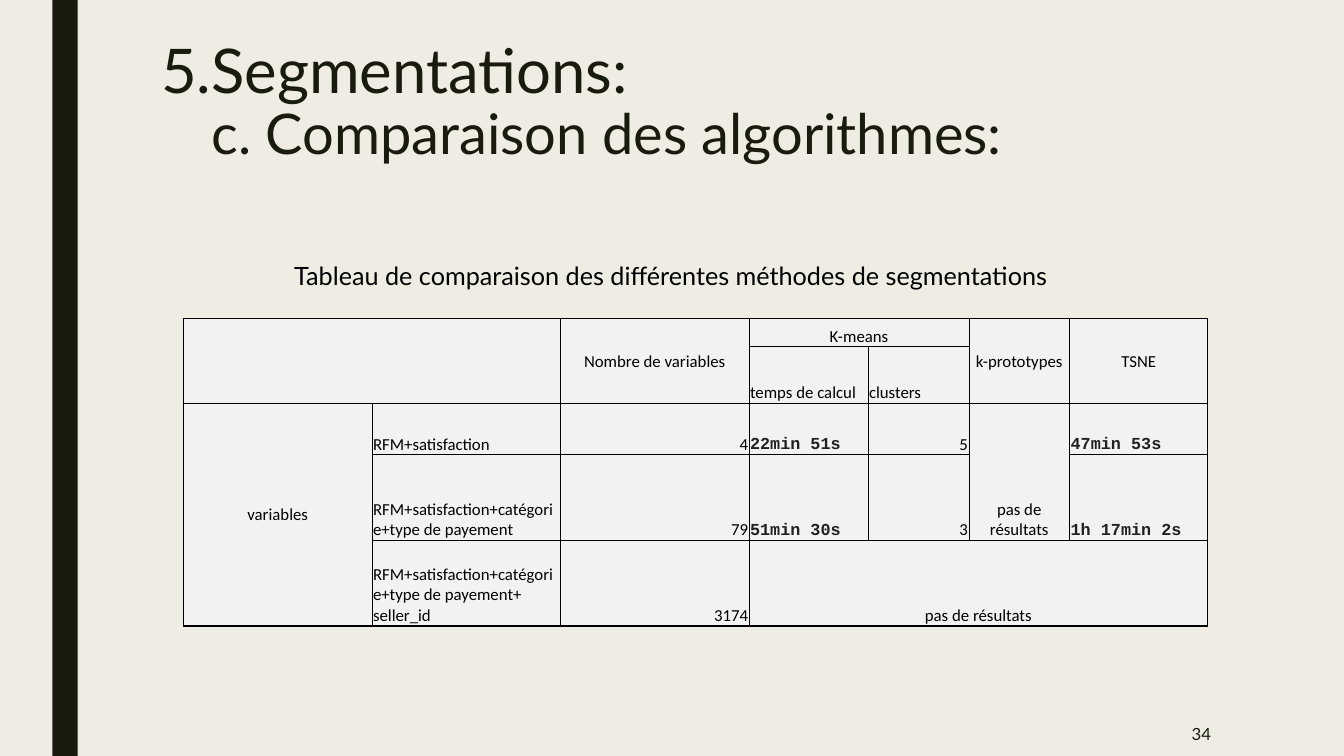
from lxml import etree
from pptx import Presentation
from pptx.dml.color import RGBColor
from pptx.enum.shapes import MSO_SHAPE
from pptx.enum.text import MSO_ANCHOR, PP_ALIGN
from pptx.oxml.ns import qn
from pptx.util import Inches, Pt

LEFT, CENTER, RIGHT = PP_ALIGN.LEFT, PP_ALIGN.CENTER, PP_ALIGN.RIGHT
TOP, MIDDLE, BOTTOM = MSO_ANCHOR.TOP, MSO_ANCHOR.MIDDLE, MSO_ANCHOR.BOTTOM
RECTANGLE = MSO_SHAPE.RECTANGLE

CREAM = RGBColor(0xEF, 0xED, 0xE3)
DARK = RGBColor(0x19, 0x1B, 0x0E)
BLACK = RGBColor(0, 0, 0)
CHARCOAL = RGBColor(0x21, 0x21, 0x21)
CELL_GRAY = RGBColor(0xF2, 0xF2, 0xF2)

NO_GRID_STYLE = "{2D5ABB26-0587-4C30-8999-92F81FD0307C}"
COLUMN_WIDTHS = [1.87, 1.87, 1.87, 1.18, 1, 1, 1.37]
ROW_HEIGHTS = [0.28, 0.56, 0.51, 0.85, 0.85]

HEADER = {"align": CENTER, "anchor": MIDDLE}
LABEL = {"align": LEFT, "anchor": BOTTOM}
NUMBER = {"align": RIGHT, "anchor": BOTTOM}
CENTERED = {"align": CENTER, "anchor": BOTTOM}
DURATION = {**LABEL, "font": "Courier New", "color": CHARCOAL, "bold": True}

# row, column, row span, column span, text, format
CELLS = [
    (0, 2, 2, 1, "Nombre de variables", HEADER),
    (0, 3, 1, 2, "K-means", CENTERED),
    (0, 5, 2, 1, "k-prototypes", HEADER),
    (0, 6, 2, 1, "TSNE", HEADER),
    (1, 3, 1, 1, "temps de calcul", LABEL),
    (1, 4, 1, 1, "clusters", LABEL),
    (2, 0, 3, 1, "variables", HEADER),
    (2, 1, 1, 1, "RFM+satisfaction", LABEL),
    (2, 2, 1, 1, "4", NUMBER),
    (2, 3, 1, 1, "22min 51s", DURATION),
    (2, 4, 1, 1, "5", NUMBER),
    (2, 5, 2, 1, "pas de résultats", CENTERED),
    (2, 6, 1, 1, "47min 53s", DURATION),
    (3, 1, 1, 1, "RFM+satisfaction+catégorie+type de payement", LABEL),
    (3, 2, 1, 1, "79", NUMBER),
    (3, 3, 1, 1, "51min 30s", DURATION),
    (3, 4, 1, 1, "3", NUMBER),
    (3, 6, 1, 1, "1h 17min 2s", DURATION),
    (4, 1, 1, 1, "RFM+satisfaction+catégorie+type de payement+ seller_id", LABEL),
    (4, 2, 1, 1, "3174", NUMBER),
    (4, 3, 1, 4, "pas de résultats", CENTERED),
]


def write_text(paragraph, text, *, font="Lato", size=12, color=BLACK, bold=False,
               align=LEFT):
    paragraph.alignment = align
    run = paragraph.add_run()
    run.text = text
    run.font.name = font
    run.font.size = Pt(size)
    run.font.color.rgb = color
    run.font.bold = bold


def draw_borders(cell, widths):
    """Draw the sides named in widths (lnL, lnR, lnT, lnB), in points."""
    properties = cell._tc.get_or_add_tcPr()
    for position, (side, width) in enumerate(widths.items()):
        line = etree.Element(qn("a:" + side), w=str(Pt(width)))
        fill = etree.SubElement(line, qn("a:solidFill"))
        etree.SubElement(fill, qn("a:srgbClr"), val=str(BLACK))
        properties.insert(position, line)


class SlideBuilder:
    def __init__(self, slide, font, color):
        self.slide = slide
        self.font = font
        self.color = color
        slide.background.fill.solid()
        slide.background.fill.fore_color.rgb = CREAM

    def add_bar(self, left, top, width, height):
        bar = self.slide.shapes.add_shape(
            RECTANGLE, Inches(left), Inches(top), Inches(width), Inches(height))
        bar.shadow.inherit = False
        bar.fill.solid()
        bar.fill.fore_color.rgb = self.color
        bar.line.fill.background()

    def add_text(self, left, top, width, height, lines, anchor=TOP, spacing=None,
                 **text_format):
        """Write (text, size) lines into one paragraph."""
        box = self.slide.shapes.add_textbox(
            Inches(left), Inches(top), Inches(width), Inches(height))
        frame = box.text_frame
        frame.word_wrap = True
        frame.vertical_anchor = anchor
        paragraph = frame.paragraphs[0]
        paragraph.line_spacing = spacing
        text_format = {"font": self.font, "color": self.color, **text_format}
        for index, (text, size) in enumerate(lines):
            if index:
                paragraph.add_line_break()
            write_text(paragraph, text, size=size, **text_format)

    def add_table(self, left, top):
        frame = self.slide.shapes.add_table(
            len(ROW_HEIGHTS), len(COLUMN_WIDTHS), Inches(left), Inches(top),
            Inches(sum(COLUMN_WIDTHS)), Inches(sum(ROW_HEIGHTS)))
        table = frame.table
        table.first_row = table.horz_banding = False
        table._tbl.tblPr.find(qn("a:tableStyleId")).text = NO_GRID_STYLE
        for column, width in zip(table.columns, COLUMN_WIDTHS):
            column.width = Inches(width)
        for row, height in zip(table.rows, ROW_HEIGHTS):
            row.height = Inches(height)
        for cell in table.iter_cells():
            cell.fill.solid()
            cell.fill.fore_color.rgb = CELL_GRAY
            cell.margin_left = cell.margin_right = cell.margin_top = Inches(0.01)
            cell.margin_bottom = 0
            cell.text_frame.paragraphs[0].font.size = Pt(12)
        self.outline_region(table, 0, 0, 2, 2)
        for row, column, row_span, column_span, text, cell_format in CELLS:
            self.fill_cell(table, row, column, row_span, column_span, text,
                           **cell_format)

    def fill_cell(self, table, row, column, row_span, column_span, text, anchor,
                  font="Calibri", **text_format):
        cell = table.cell(row, column)
        if row_span * column_span > 1:
            cell.merge(table.cell(row + row_span - 1, column + column_span - 1))
        cell.vertical_anchor = anchor
        write_text(cell.text_frame.paragraphs[0], text, font=font, **text_format)
        self.outline_region(table, row, column, row_span, column_span)

    def outline_region(self, table, top, left, row_span, column_span):
        """Border a block of cells, thicker where it meets the table's edge."""
        bottom, right = top + row_span - 1, left + column_span - 1
        last_row, last_column = len(ROW_HEIGHTS) - 1, len(COLUMN_WIDTHS) - 1
        widths = {
            "lnL": 1 if left == 0 else 0.5,
            "lnR": 1 if right == last_column else 0.5,
            "lnT": 1 if top == 0 else 0.5,
            "lnB": 1 if bottom == last_row else 0.5,
        }
        for row in range(top, bottom + 1):
            for column in range(left, right + 1):
                cell = table.cell(row, column)
                on_edge = {"lnL": column == left, "lnR": column == right,
                           "lnT": row == top, "lnB": row == bottom}
                draw_borders(cell, {side: width for side, width in widths.items()
                                    if on_edge[side] or cell.is_merge_origin})


def main():
    presentation = Presentation()
    presentation.slide_width = Inches(13.33)
    presentation.slide_height = Inches(7.5)
    slide = presentation.slides.add_slide(presentation.slide_layouts[6])
    builder = SlideBuilder(slide, font="Lato", color=DARK)
    builder.add_bar(0.52, 0, 0.25, 7.5)
    builder.add_text(10.36, 7.06, 1.75, 0.44, [("34", 12)], anchor=MIDDLE, align=RIGHT)
    builder.add_text(
        1.5, 0.36, 11.83, 1.62,
        [("5.Segmentations:", 44), ("\tc. Comparaison des algorithmes:", 40)],
        spacing=0.89)
    builder.add_text(
        2.82, 2.53, 7.9, 0.4,
        [("Tableau de comparaison des différentes méthodes de segmentations", 18)],
        color=BLACK)
    builder.add_table(1.82, 3.16)
    presentation.save("out.pptx")


if __name__ == "__main__":
    main()
